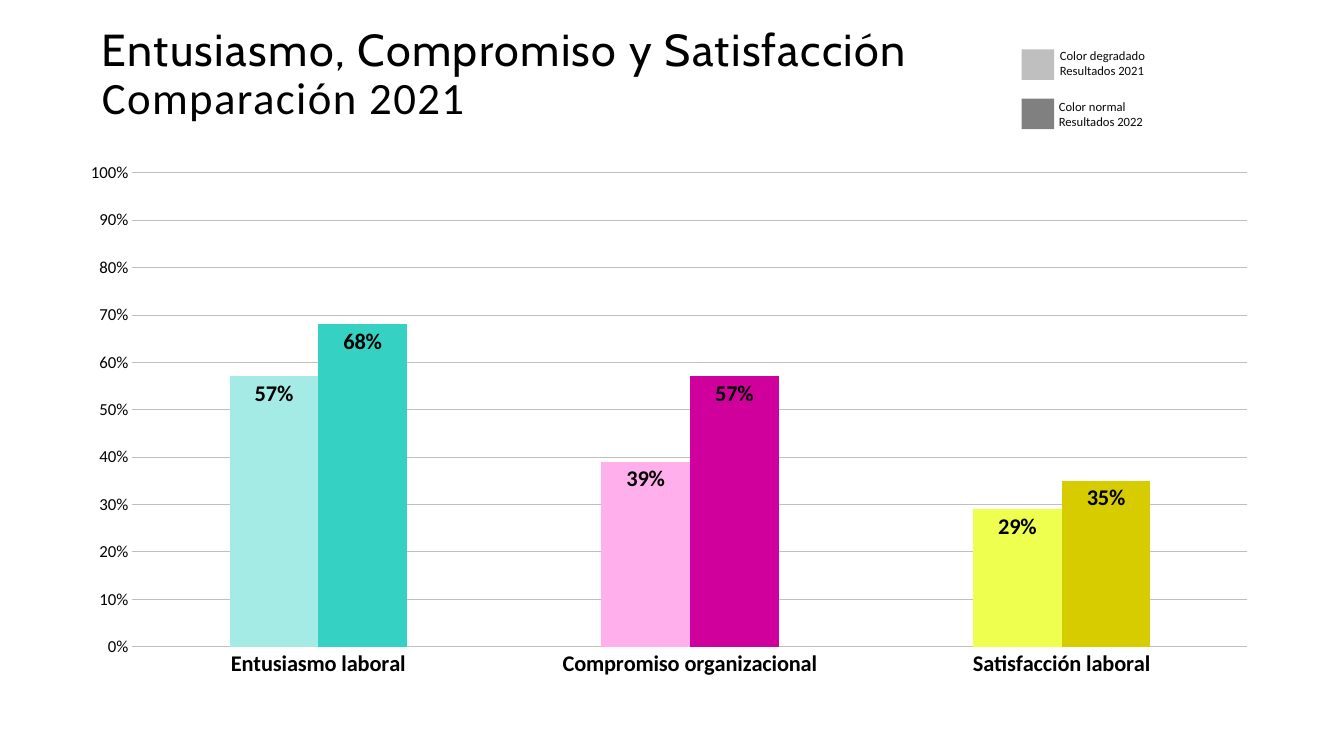
from dataclasses import dataclass

import lxml.etree
import pptx
import pptx.chart.data
import pptx.dml.color
import pptx.enum.chart
import pptx.enum.shapes
import pptx.enum.text
import pptx.oxml
import pptx.oxml.ns
import pptx.util

RGBColor = pptx.dml.color.RGBColor
BLACK = RGBColor(0x00, 0x00, 0x00)
INK = RGBColor(0x07, 0x08, 0x0B)
LIGHT_GRAY = RGBColor(0xBF, 0xBF, 0xBF)
DARK_GRAY = RGBColor(0x80, 0x80, 0x80)
LIGHT_TEAL = RGBColor(0xA3, 0xEB, 0xE4)
TEAL = RGBColor(0x35, 0xD2, 0xC4)
LIGHT_PINK = RGBColor(0xFF, 0xAF, 0xEC)
MAGENTA = RGBColor(0xCF, 0x00, 0x9C)
LIGHT_YELLOW = RGBColor(0xEE, 0xFF, 0x4F)
MUSTARD = RGBColor(0xD6, 0xCC, 0x00)
LIME = RGBColor(0xC3, 0xD6, 0x00)

EMU_PER_PX = 9525
BODY_FONT = "Calibri"
CATEGORIES = ["Entusiasmo laboral", "Compromiso organizacional", "Satisfacción laboral"]


@dataclass(frozen=True)
class LegendKey:
    lines: tuple[str, str]
    color: RGBColor
    swatch_top: int
    text_left: int
    text_top: int
    text_width: int


@dataclass(frozen=True)
class YearSeries:
    name: str
    values: tuple[float, ...]
    color: RGBColor
    point_colors: tuple[RGBColor, ...]


LEGEND_KEYS = [
    LegendKey(("Color degradado", "Resultados 2021"), LIGHT_GRAY, 47, 1000, 41, 213),
    LegendKey(("Color normal", "Resultados 2022"), DARK_GRAY, 94, 999, 89, 258),
]
YEARS = [
    YearSeries("Series 1", (0.57, 0.39, 0.29), TEAL, (LIGHT_TEAL, LIGHT_PINK, LIGHT_YELLOW)),
    YearSeries("Series 2", (0.68, 0.57, 0.35), LIME, (TEAL, MAGENTA, MUSTARD)),
]


def px(length: int) -> pptx.util.Emu:
    return pptx.util.Emu(length * EMU_PER_PX)


def set_font(font, size: int, color: RGBColor = BLACK, bold: bool = False) -> None:
    font.name = BODY_FONT
    font.size = pptx.util.Pt(size)
    font.bold = bold
    font.color.rgb = color


def fill_solid(fill, color: RGBColor) -> None:
    fill.solid()
    fill.fore_color.rgb = color


def add_title(slide) -> None:
    title = slide.shapes.title
    title.left, title.top, title.width, title.height = px(97), px(26), px(822), px(102)
    frame = title.text_frame
    frame.margin_left = frame.margin_top = frame.margin_right = frame.margin_bottom = 0
    frame.word_wrap = True
    frame.auto_size = pptx.enum.text.MSO_AUTO_SIZE.NONE
    frame.vertical_anchor = pptx.enum.text.MSO_ANCHOR.TOP
    paragraph = frame.paragraphs[0]
    paragraph.alignment = pptx.enum.text.PP_ALIGN.LEFT
    paragraph.line_spacing = 0.9
    paragraph.font.size = pptx.util.Pt(32)
    paragraph.font.color.rgb = BLACK
    heading = paragraph.add_run()
    heading.text = "Entusiasmo, Compromiso y Satisfacción"
    heading.font.name = "Cabin"
    paragraph.add_line_break()
    subheading = paragraph.add_run()
    subheading.text = "Comparación 2021"
    subheading.font.name = BODY_FONT
    for run in (heading, subheading):
        run.font.size = pptx.util.Pt(32)
        run._r.get_or_add_rPr().set("spc", "100")


def add_legend_key(slide, key: LegendKey) -> None:
    swatch = slide.shapes.add_shape(
        pptx.enum.shapes.MSO_SHAPE.RECTANGLE, px(973), px(key.swatch_top), px(31), px(29))
    swatch.shadow.inherit = False
    fill_solid(swatch.fill, key.color)
    swatch.line.fill.background()

    label = slide.shapes.add_textbox(
        px(key.text_left), px(key.text_top), px(key.text_width), px(38))
    frame = label.text_frame
    frame.word_wrap = True
    frame.auto_size = pptx.enum.text.MSO_AUTO_SIZE.SHAPE_TO_FIT_TEXT
    frame.text = "\n".join(key.lines)
    for paragraph in frame.paragraphs:
        set_font(paragraph.font, 9, INK)


def place_plot_area(chart, x: float, y: float, width: float, height: float) -> None:
    """Fix the inner plot area, in fractions of the chart frame."""
    plot_area = chart._chartSpace.chart.plotArea
    chart_tag = pptx.oxml.ns.qn
    for old_layout in plot_area.findall(chart_tag("c:layout")):
        plot_area.remove(old_layout)
    layout = lxml.etree.Element(chart_tag("c:layout"))
    manual = lxml.etree.SubElement(layout, chart_tag("c:manualLayout"))
    settings = {"layoutTarget": "inner", "xMode": "edge", "yMode": "edge",
                "x": x, "y": y, "w": width, "h": height}
    for name, value in settings.items():
        lxml.etree.SubElement(manual, chart_tag(f"c:{name}")).set("val", str(value))
    plot_area.insert(0, layout)


def format_axes(chart) -> None:
    no_tick = pptx.enum.chart.XL_TICK_MARK.NONE
    category_axis, value_axis = chart.category_axis, chart.value_axis
    for axis in (category_axis, value_axis):
        axis.major_tick_mark = axis.minor_tick_mark = no_tick
    set_font(category_axis.tick_labels.font, 16, bold=True)
    category_axis.format.line.color.rgb = LIGHT_GRAY
    category_axis.format.line.width = pptx.util.Pt(0.75)

    set_font(value_axis.tick_labels.font, 12)
    value_axis.tick_labels.number_format = "0%"
    value_axis.tick_labels.number_format_is_linked = False
    value_axis.minimum_scale, value_axis.maximum_scale = 0, 1
    value_axis.major_unit = 0.1
    value_axis.format.line.fill.background()
    value_axis.has_major_gridlines = True
    gridline = value_axis.major_gridlines.format.line
    gridline.color.rgb = LIGHT_GRAY
    gridline.width = pptx.util.Pt(0.5)


def add_comparison_chart(slide) -> None:
    data = pptx.chart.data.CategoryChartData(number_format="0%")
    data.categories = CATEGORIES
    for year in YEARS:
        data.add_series(year.name, year.values)
    chart = slide.shapes.add_chart(
        pptx.enum.chart.XL_CHART_TYPE.COLUMN_CLUSTERED,
        px(69), px(144), px(1142), px(513), data).chart
    chart.has_title = False
    chart.has_legend = False
    set_font(chart.font, 10)
    place_plot_area(chart, 0.05, 0.04, 0.93, 0.88)
    format_axes(chart)

    # Columns, coloured by point
    plot = chart.plots[0]
    plot.vary_by_categories = False
    plot.gap_width = 219
    plot.overlap = 0
    for series, year in zip(plot.series, YEARS):
        fill_solid(series.format.fill, year.color)
        for index, color in enumerate(year.point_colors):
            fill_solid(series.points[index].format.fill, color)
        labels = series.data_labels
        labels.show_value = True
        labels.number_format = "0%"
        labels.number_format_is_linked = False
        labels.position = pptx.enum.chart.XL_LABEL_POSITION.INSIDE_END
        set_font(labels.font, 16, bold=True)


def main() -> None:
    presentation = pptx.Presentation()
    presentation.slide_width, presentation.slide_height = px(1280), px(720)
    slide = presentation.slides.add_slide(presentation.slide_layouts[5])
    add_title(slide)
    for key in LEGEND_KEYS:
        add_legend_key(slide, key)
    add_comparison_chart(slide)
    presentation.save("out.pptx")


if __name__ == "__main__":
    main()
